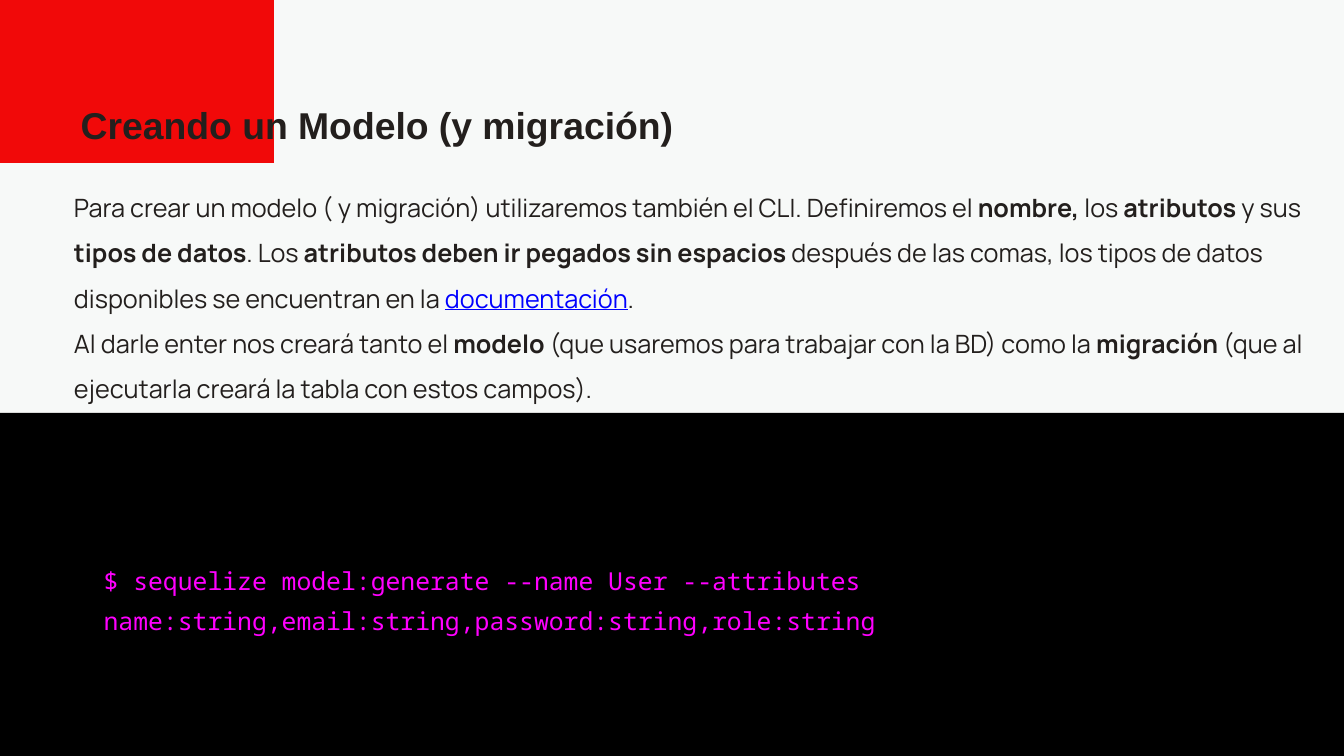
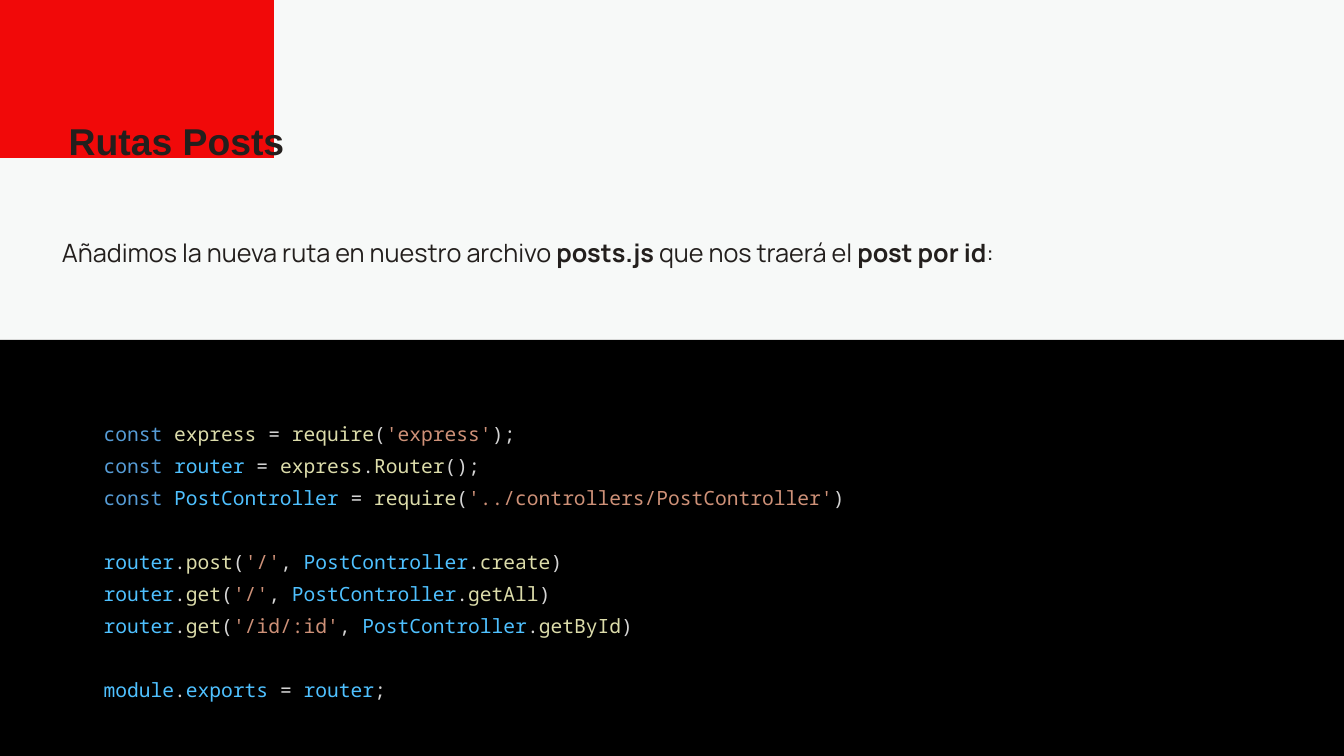
from dataclasses import dataclass
from itertools import groupby

from lxml import etree
from pptx import Presentation
from pptx import util as u
from pptx.dml.color import RGBColor
from pptx.enum import shapes, text
from pptx.oxml.ns import qn

SLIDE_WIDTH, SLIDE_HEIGHT = 1344, 756
SCALE = u.Inches(20) / SLIDE_WIDTH
CORNER_WIDTH = 274
CODE_LEFT, CODE_WIDTH = 97, 1149
CODE_GAP = u.Pt(34)
VARIABLES = {"router", "PostController", "module", "exports"}


@dataclass(frozen=True)
class Style:
    font: str
    size: float
    color: str
    bold: bool = False
    underline: bool = False


class Theme:
    paper, corner, terminal = "F7F9F8", "F10909", "000000"
    ink = "231F1D"
    title = Style("Arial", 40, ink, bold=True)
    plain = Style("Manrope", 27, ink)
    strong = Style("Manrope", 27, ink, bold=True)
    link = Style("Manrope", 27, "0000FF", underline=True)
    command = Style("Noto Sans Mono", 26.5, "FF00FF")
    keyword, variable, function, string, symbol = (
        Style("Noto Sans Mono", 21, color)
        for color in ("569CD6", "4FC1FF", "DCDCAA", "CE9178", "D4D4D4"))
    title_spacing, body_spacing, code_spacing = 1.2, 1.5, 1.36


def px(value):
    return u.Emu(round(value * SCALE))


def set_all(target, values):
    for name, value in values.items():
        setattr(target, name, value)


def place(shape, left, top, width, height):
    set_all(shape, {"left": px(left), "top": px(top),
                    "width": px(width), "height": px(height)})


def add_block(slide, box, color):
    """Draw a plain rectangle behind all the text."""
    shape = slide.shapes.add_shape(shapes.MSO_SHAPE.RECTANGLE, *map(px, box))
    shape.shadow.inherit = False
    shape.fill.solid()
    shape.fill.fore_color.rgb = RGBColor.from_string(color)
    shape.line.fill.background()
    shape.element.getparent().insert(2, shape.element)


def setup_frame(frame, margin):
    set_all(frame, {"word_wrap": True, "auto_size": text.MSO_AUTO_SIZE.NONE,
                    "vertical_anchor": text.MSO_ANCHOR.TOP})
    set_all(frame, {f"margin_{side}": u.Inches(margin)
                    for side in ("left", "top", "right", "bottom")})


def add_run(paragraph, style, words):
    run = paragraph.add_run()
    run.text = words
    set_all(run.font, {"name": style.font, "size": u.Pt(style.size),
                       "bold": style.bold, "underline": style.underline})
    run.font.color.rgb = RGBColor.from_string(style.color)


def write(frame, paragraphs, spacing, gaps_before=()):
    """Fill a frame; each paragraph is a list of (style, words) pairs."""
    for index, runs in enumerate(paragraphs):
        paragraph = frame.add_paragraph() if index else frame.paragraphs[0]
        properties = paragraph._p.get_or_add_pPr()
        properties.set("marL", "0")
        properties.set("indent", "0")
        etree.SubElement(properties, qn("a:buNone"))
        set_all(paragraph, {
            "alignment": text.PP_ALIGN.LEFT, "line_spacing": spacing,
            "space_before": CODE_GAP if index in gaps_before else u.Pt(0)})
        for style, words in runs:
            add_run(paragraph, style, words)


def color_code(line):
    """Split a line of JavaScript into (style, words) pairs."""
    runs = []
    for index, part in enumerate(line.split("'")):
        if index % 2:
            runs.append((Theme.string, f"'{part}'"))
            continue
        for is_word, letters in groupby(part, str.isalpha):
            token = "".join(letters)
            if not is_word:
                style = Theme.symbol
            elif token == "const":
                style = Theme.keyword
            else:
                style = Theme.variable if token in VARIABLES else Theme.function
            runs.append((style, token))
    return runs


def add_code(slide, top, height, paragraphs, gaps_before=()):
    box = slide.shapes.add_textbox(*map(px, (CODE_LEFT, top, CODE_WIDTH, height)))
    setup_frame(box.text_frame, 0.1)
    write(box.text_frame, paragraphs, Theme.code_spacing, gaps_before)


def add_code_slide(presentation, title, title_box, body, body_box,
                   corner_height, terminal_top):
    """Add a slide with a red corner, title, explanation and black code band."""
    slide = presentation.slides.add_slide(presentation.slide_layouts[1])
    add_block(slide, (0, 0, CORNER_WIDTH, corner_height), Theme.corner)
    add_block(slide, (0, terminal_top, SLIDE_WIDTH, SLIDE_HEIGHT - terminal_top),
              Theme.terminal)
    heading, explanation = slide.shapes.title, slide.placeholders[1]
    place(heading, *title_box)
    setup_frame(heading.text_frame, 0.1)
    write(heading.text_frame, [[(Theme.title, title)]], Theme.title_spacing)
    place(explanation, *body_box)
    setup_frame(explanation.text_frame, 0)
    write(explanation.text_frame, body, Theme.body_spacing)
    return slide


def add_model_slide(presentation):
    plain, strong = Theme.plain, Theme.strong
    body = [
        [(plain, "Para crear un modelo ( y migración) utilizaremos también el CLI. "
                 "Definiremos el "),
         (strong, "nombre, "), (plain, "los"), (strong, " atributos "),
         (plain, "y sus"), (strong, " tipos de datos"), (plain, ". Los "),
         (strong, "atributos deben ir pegados sin espacios"),
         (plain, " después de las comas, los tipos de datos disponibles "
                 "se encuentran en la "),
         (Theme.link, "documentación"), (plain, ".")],
        [(plain, "Al darle enter nos creará tanto el "), (strong, "modelo"),
         (plain, " (que usaremos para trabajar con la BD) como la "),
         (strong, "migración"),
         (plain, " (que al ejecutarla creará la tabla con estos campos).")],
    ]
    slide = add_code_slide(
        presentation, "Creando un Modelo (y migración)", (74, 87, 972, 59),
        body, (74, 177, 1230, 214), corner_height=163, terminal_top=413)
    command = ("$ sequelize model:generate --name User --attributes "
               "name:string,email:string,password:string,role:string")
    add_code(slide, 548, 84, [[(Theme.command, command)]])


def add_routes_slide(presentation):
    plain, strong = Theme.plain, Theme.strong
    body = [[(plain, "Añadimos la nueva ruta en nuestro archivo "),
             (strong, "posts.js"), (plain, " que nos traerá el "),
             (strong, "post por id"), (plain, ":")]]
    slide = add_code_slide(
        presentation, "Rutas Posts", (62, 103, 972, 59),
        body, (62, 222, 1168, 30), corner_height=158, terminal_top=340)
    code = [
        "const express = require('express');",
        "const router = express.Router();",
        "const PostController = require('../controllers/PostController')",
        "router.post('/', PostController.create)",
        "router.get('/', PostController.getAll)",
        "router.get('/id/:id', PostController.getById)",
        "module.exports = router;",
    ]
    add_code(slide, 407, 295, map(color_code, code), gaps_before=(3, 6))


def main():
    presentation = Presentation()
    set_all(presentation, {"slide_width": px(SLIDE_WIDTH),
                           "slide_height": px(SLIDE_HEIGHT)})
    background = presentation.slide_master.background.fill
    background.solid()
    background.fore_color.rgb = RGBColor.from_string(Theme.paper)
    add_model_slide(presentation)
    add_routes_slide(presentation)
    presentation.save("out.pptx")


if __name__ == "__main__":
    main()
